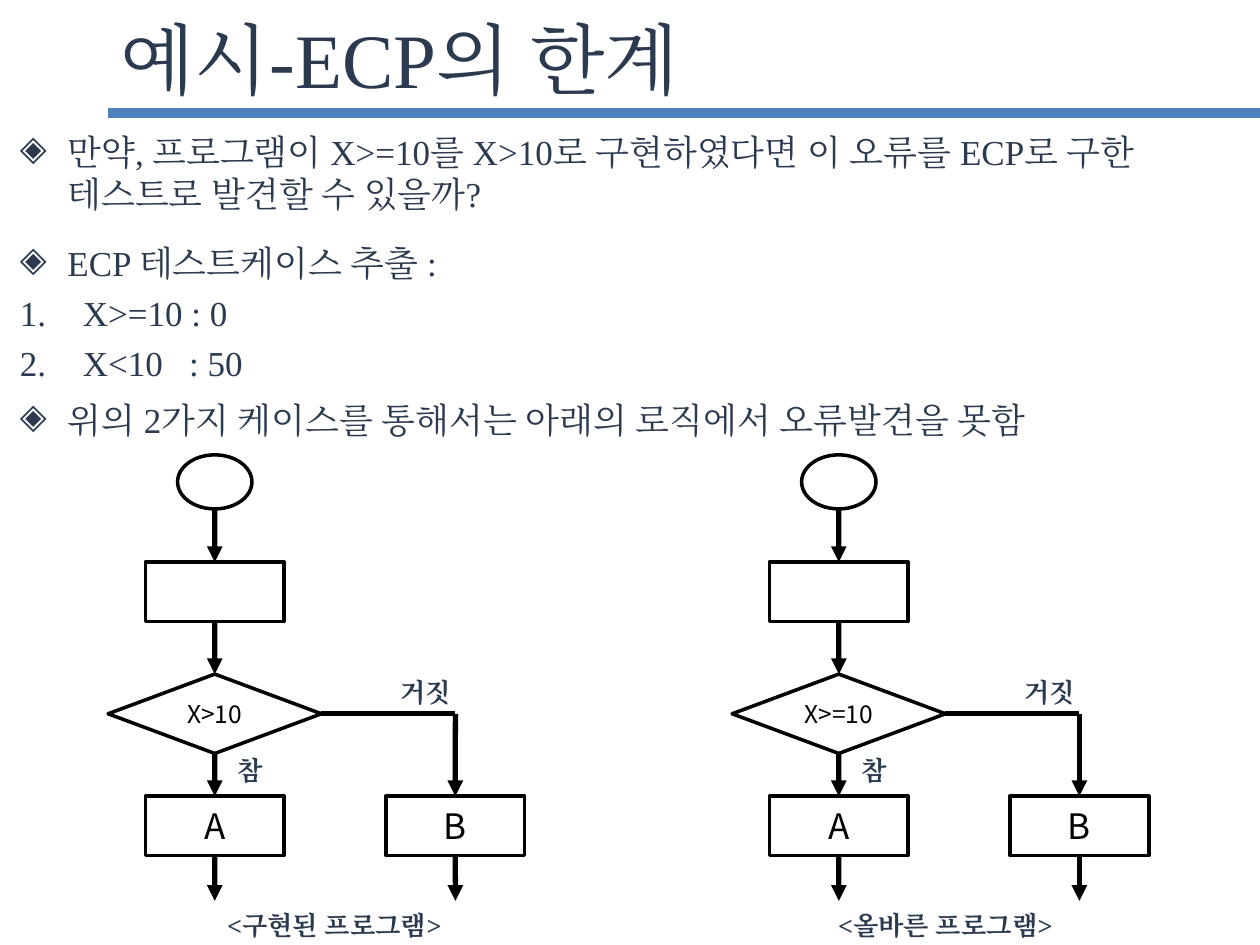
from lxml.etree import SubElement
from pptx import Presentation
from pptx.dml.color import RGBColor
from pptx.enum.shapes import MSO_CONNECTOR, MSO_SHAPE
from pptx.enum.text import MSO_ANCHOR, PP_ALIGN
from pptx.oxml.ns import qn
from pptx.util import Cm, Pt

COLORS = {"ink": "2C3A50", "bar": "4F81BD", "black": "000000"}
SERIF, SANS = "Times New Roman", "Noto Sans CJK KR"
TOP, LEFT, BOTTOM, RIGHT = range(4)
DIAMOND_BULLET = ("a:buChar", "char", "◈", 0.96)
NUMBER = ("a:buAutoNum", "type", "arabicPeriod", 1.27)


def rgb(name):
    return RGBColor.from_string(COLORS[name])


def style_font(para, size, face, color, bold=False):
    """Style a paragraph, and give its Korean text the same typeface."""
    font = para.font
    font.size, font.name, font.bold = Pt(size), face, bold
    font.color.rgb = rgb(color)
    for span in para.runs:
        properties = span._r.get_or_add_rPr()
        SubElement(properties, qn("a:ea"), typeface=face)


def add_text(page, left, top, width, height, text, size,
             align=PP_ALIGN.LEFT, anchor=MSO_ANCHOR.TOP, bold=False):
    box = page.shapes.add_textbox(Cm(left), Cm(top), Cm(width), Cm(height))
    frame = box.text_frame
    frame.word_wrap = True
    frame.vertical_anchor = anchor
    para = frame.paragraphs[0]
    para.text = text
    para.alignment = align
    style_font(para, size, SERIF, "ink", bold)


def add_label(page, center, top, width, text):
    add_text(page, center - width / 2, top, width, 0.89, text, 15,
             PP_ALIGN.CENTER, bold=True)


def add_bullets(page, items):
    """Each item is a bullet, the space before it, and its parts of text."""
    box = page.shapes.add_textbox(Cm(0.15), Cm(2.51), Cm(25.12), Cm(8.6))
    frame = box.text_frame
    frame.word_wrap = True
    for index, ((tag, key, value, indent), gap, parts) in enumerate(items):
        para = frame.paragraphs[0] if index == 0 else frame.add_paragraph()
        for part in parts:
            span = para.add_run()
            span.text = part
            if part == " ":
                span._r.get_or_add_rPr().set("spc", "1000")
        para.space_before = Pt(gap)
        style_font(para, 20, SERIF, "ink")
        properties = para._p.get_or_add_pPr()
        properties.set("marL", str(Cm(indent)))
        properties.set("indent", str(-Cm(indent)))
        bullet = SubElement(properties, qn(tag), {key: value})
        properties.find(qn("a:defRPr")).addprevious(bullet)


def add_bar(page):
    bar = page.shapes.add_shape(MSO_SHAPE.RECTANGLE, Cm(2.18), Cm(2.18), Cm(23.22), Cm(0.2))
    bar.shadow.inherit = False
    bar.fill.solid()
    bar.fill.fore_color.rgb = rgb("bar")
    bar.line.fill.background()


def add_node(page, kind, center, top, width, height, text="", size=20):
    node = page.shapes.add_shape(kind, Cm(center - width / 2), Cm(top), Cm(width), Cm(height))
    node.shadow.inherit = False
    node.fill.background()
    node.line.color.rgb = rgb("black")
    node.line.width = Pt(2)
    if text:
        frame = node.text_frame
        frame.word_wrap = False
        frame.vertical_anchor = MSO_ANCHOR.MIDDLE
        para = frame.paragraphs[0]
        para.text = text
        para.alignment = PP_ALIGN.CENTER
        style_font(para, size, SANS, "black")
    return node


def add_line(page, start, end, source=None, target=None, arrow=True):
    """Draw a line; source and target are (node, side) pairs to join."""
    line = page.shapes.add_connector(
        MSO_CONNECTOR.STRAIGHT, *(Cm(value) for value in (*start, *end)))
    line.line.color.rgb = rgb("black")
    line.line.width = Pt(3)
    if source:
        line.begin_connect(*source)
    if target:
        line.end_connect(*target)
    if arrow:
        SubElement(line.line._get_or_add_ln(), qn("a:tailEnd"), type="triangle")
    SubElement(line._element.spPr, qn("a:effectLst"))


def add_flowchart(page, center, condition, caption, caption_center):
    side = center + 4.85
    add_node(page, MSO_SHAPE.OVAL, center, 9.17, 1.5, 1.09)
    step = add_node(page, MSO_SHAPE.RECTANGLE, center, 11.33, 2.8, 1.2)
    decision = add_node(page, MSO_SHAPE.DIAMOND, center, 13.59, 4.3, 1.6, condition, 14)
    branch_a, branch_b = (
        add_node(page, MSO_SHAPE.RECTANGLE, x, 16.05, 2.8, 1.2, name)
        for x, name in ((center, "A"), (side, "B")))

    add_line(page, (center, 10.26), (center, 11.33), target=(step, TOP))
    add_line(page, (center, 12.53), (center, 13.59), (step, BOTTOM), (decision, TOP))
    add_line(page, (center, 15.19), (center, 16.05), (decision, BOTTOM), (branch_a, TOP))
    add_line(page, (center + 2.15, 14.39), (side, 14.39), (decision, RIGHT), arrow=False)
    add_line(page, (side, 14.39), (side, 16.05), target=(branch_b, TOP))
    for x, branch in ((center, branch_a), (side, branch_b)):
        add_line(page, (x, 17.25), (x, 18.16), (branch, BOTTOM))

    add_label(page, center + 0.72, 15.09, 1.42, "참")
    add_label(page, center + 4.25, 13.51, 2.34, "거짓")
    add_label(page, caption_center, 18.21, 6.32, caption)


def main():
    deck = Presentation()
    deck.slide_width, deck.slide_height = Cm(25.4), Cm(19.05)
    page = deck.slides.add_slide(deck.slide_layouts[6])
    add_bar(page)
    add_text(page, 2.18, 0.18, 22.76, 1.96, "예시-ECP의 한계", 44, anchor=MSO_ANCHOR.MIDDLE)
    add_bullets(page, [
        (DIAMOND_BULLET, 4.6, ["만약, 프로그램이 X>=10를 X>10로 구현하였다면 이 오류를 "
                               "ECP로 구한 테스트로 발견할 수 있을까?"]),
        (DIAMOND_BULLET, 15.5, ["ECP 테스트케이스 추출 :"]),
        (NUMBER, 4.6, ["X>=10 : 0"]),
        (NUMBER, 4.6, ["X<10", " ", ": 50"]),
        (DIAMOND_BULLET, 8.5, ["위의 2가지 케이스를 통해서는 아래의 로직에서 오류발견을 못함"]),
    ])
    add_flowchart(page, 4.33, "X>10", "<구현된 프로그램>", 6.74)
    add_flowchart(page, 16.91, "X>=10", "<올바른 프로그램>", 19.06)
    deck.save("out.pptx")


if __name__ == "__main__":
    main()
